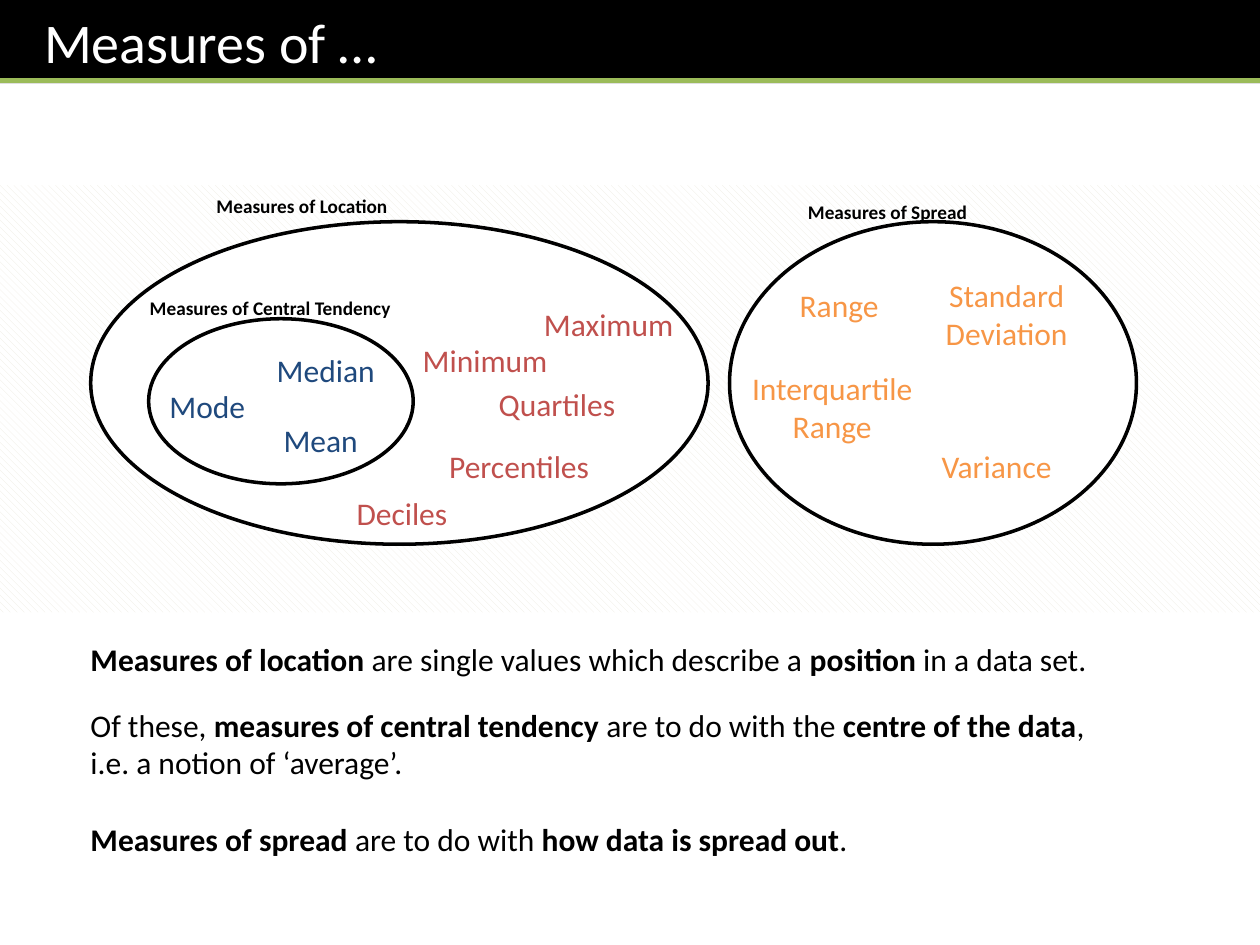
import pptx
import pptx.util
import pptx.dml.color
import pptx.enum.dml
import pptx.enum.shapes
import pptx.enum.text
import lxml.etree
from pptx.util import Inches

FONT = "Calibri"
BLACK, WHITE, GREEN, CREAM = "000000", "FFFFFF", "9BBB59", "EEECE1"
BLUE, RED, ORANGE = "1F497D", "C0504D", "F79646"
ALIGN = pptx.enum.text.PP_ALIGN
SHAPE = pptx.enum.shapes.MSO_SHAPE


def color(value):
    return pptx.dml.color.RGBColor.from_string(value)


def write_text(frame, text, size=18, fill=BLACK, bold=False, align=ALIGN.LEFT):
    paragraph = frame.paragraphs[0]
    paragraph.alignment = align
    for index, part in enumerate(text.split("**")):
        if part:
            run = paragraph.add_run()
            run.text = part
            run.font.name = FONT
            run.font.size = pptx.util.Pt(size)
            run.font.bold = bold or index % 2 == 1
            run.font.color.rgb = color(fill)


def add_text(slide, text, left, top, width, height, **text_format):
    box = slide.shapes.add_textbox(
        Inches(left), Inches(top), Inches(width), Inches(height))
    box.text_frame.word_wrap = True
    write_text(box.text_frame, text, **text_format)


def add_ellipse(slide, left, top, width, height):
    ellipse = slide.shapes.add_shape(
        SHAPE.OVAL, Inches(left), Inches(top), Inches(width), Inches(height))
    ellipse.shadow.inherit = False
    ellipse.fill.solid()
    ellipse.fill.fore_color.rgb = color(WHITE)
    ellipse.line.color.rgb = color(BLACK)
    ellipse.line.width = pptx.util.Pt(2)


def add_words(slide, left, top, words, fill):
    for text, across, down, width, height in words:
        add_text(slide, text, left + across, top + down, width, height,
                 fill=fill, align=ALIGN.CENTER)


def add_header(slide, left, top, width, height):
    title = slide.shapes.title
    title.left, title.top = Inches(left), Inches(top)
    title.width, title.height = Inches(width), Inches(height)
    title.fill.solid()
    title.fill.fore_color.rgb = color(BLACK)
    frame = title.text_frame
    frame.auto_size = pptx.enum.text.MSO_AUTO_SIZE.NONE
    frame.vertical_anchor = pptx.enum.text.MSO_ANCHOR.MIDDLE
    frame.margin_left = Inches(0.35)
    write_text(frame, "Measures of …", size=32, fill=WHITE)

    line_top = Inches(top + height - 0.02)
    rule = slide.shapes.add_connector(
        pptx.enum.shapes.MSO_CONNECTOR.STRAIGHT,
        Inches(left), line_top, Inches(left + width), line_top)
    rule.line.color.rgb = color(GREEN)
    rule.line.width = pptx.util.Pt(3)
    lxml.etree.SubElement(
        rule._element.spPr, pptx.oxml.ns.qn("a:effectLst"))


def add_band(slide, left, top, width, height):
    band = slide.shapes.add_shape(
        SHAPE.RECTANGLE, Inches(left), Inches(top), Inches(width), Inches(height))
    band.shadow.inherit = False
    band.line.fill.background()
    band.fill.patterned()
    band.fill.pattern = pptx.enum.dml.MSO_PATTERN.WIDE_DOWNWARD_DIAGONAL
    band.fill.fore_color.rgb = color(CREAM)
    band.fill.back_color.rgb = color(WHITE)


def add_central_tendency(slide, left, top, width, height):
    add_ellipse(slide, left, top, width, height)
    add_text(slide, "Measures of Central Tendency", left - 0.09, top - 0.23,
             2.73, 0.29, size=11, bold=True)
    add_words(slide, left, top, [
        ("Mode", -0.04, 0.49, 1.01, 0.4),
        ("Median", 0.9, 0.21, 1.01, 0.4),
        ("Mean", 0.86, 0.76, 1.01, 0.4),
    ], BLUE)


def add_location(slide, left, top, width, height):
    add_ellipse(slide, left, top, width, height)
    add_text(slide, "Measures of Location", left + 0.9, top - 0.27,
             2.73, 0.29, size=11, bold=True)
    add_central_tendency(slide, left + 0.46, top + 0.77, 2.1, 1.31)
    add_words(slide, left, top, [
        ("Quartiles", 3.06, 1.25, 1.28, 0.4),
        ("Percentiles", 2.7, 1.74, 1.4, 0.4),
        ("Deciles", 1.77, 2.11, 1.4, 0.4),
        ("Maximum", 3.47, 0.61, 1.28, 0.4),
        ("Minimum", 2.49, 0.9, 1.28, 0.4),
    ], RED)


def add_spread(slide, left, top, width, height):
    add_ellipse(slide, left, top, width, height)
    add_text(slide, "Measures of Spread", left - 0.11, top - 0.22,
             2.73, 0.29, size=11, bold=True, align=ALIGN.CENTER)
    add_words(slide, left, top, [
        ("Range", 0.4, 0.46, 0.94, 0.4),
        ("Interquartile Range", 0, 1.12, 1.63, 0.71),
        ("Standard Deviation", 1.57, 0.38, 1.26, 0.71),
        ("Variance", 1.49, 1.74, 1.26, 0.4),
    ], ORANGE)


def add_definitions(slide, left, top, width):
    definitions = [
        (0, 0.4, "**Measures of location **are single values which describe a "
                 "**position** in a data set."),
        (0.52, 0.71, "Of these,** measures of central tendency **are to do with "
                     "the **centre of the data**, i.e. a notion of ‘average’."),
        (1.43, 0.4, "**Measures of spread **are to do with "
                    "**how data is spread out**."),
    ]
    for down, height, text in definitions:
        add_text(slide, text, left, top + down, width, height)


def main():
    presentation = pptx.Presentation()
    presentation.slide_width = Inches(10)
    presentation.slide_height = Inches(7.5)
    slide = presentation.slides.add_slide(presentation.slide_layouts[5])
    add_header(slide, 0, 0, 10, 0.66)
    add_band(slide, 0, 1.47, 10, 3.39)
    add_location(slide, 0.72, 1.76, 4.9, 2.56)
    add_spread(slide, 5.79, 1.76, 3.23, 2.56)
    add_definitions(slide, 0.62, 5.03, 8.3)
    presentation.save("out.pptx")


if __name__ == "__main__":
    main()
